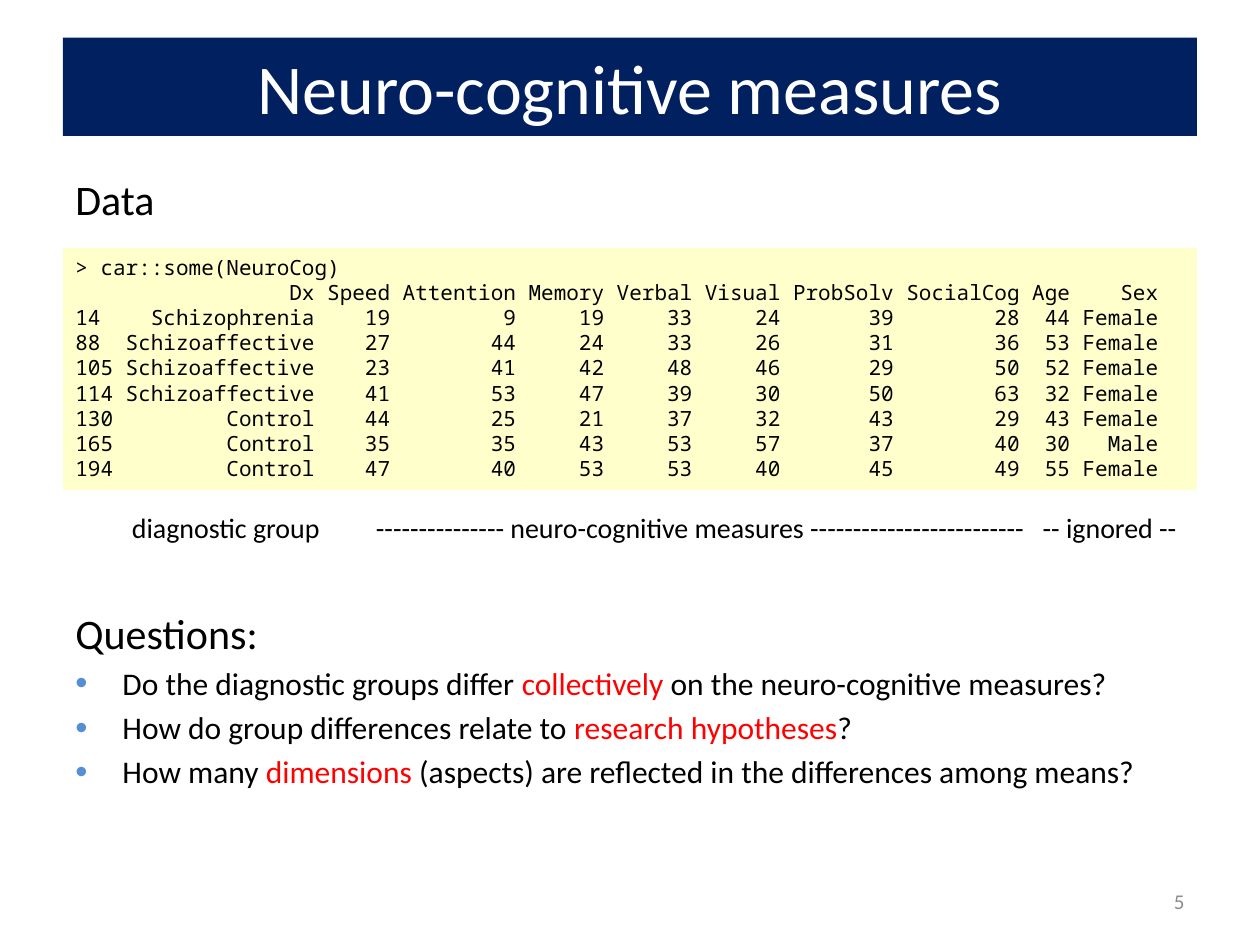
from dataclasses import dataclass
from typing import Optional

import lxml.etree
import pptx
import pptx.dml.color
import pptx.enum.shapes
import pptx.enum.text
import pptx.oxml.ns
import pptx.util

Cm = pptx.util.Cm
Pt = pptx.util.Pt
Align = pptx.enum.text.PP_ALIGN
Anchor = pptx.enum.text.MSO_ANCHOR

COLORS = {
    "navy": "002060",
    "white": "FFFFFF",
    "black": "000000",
    "red": "FF0000",
    "yellow": "FFFF00",
    "bullet": "558ED5",
    "gray": "8C8C8C",
}

LISTING = """> car::some(NeuroCog)
                 Dx Speed Attention Memory Verbal Visual ProbSolv SocialCog Age    Sex
14    Schizophrenia    19         9     19     33     24       39        28  44 Female
88  Schizoaffective    27        44     24     33     26       31        36  53 Female
105 Schizoaffective    23        41     42     48     46       29        50  52 Female
114 Schizoaffective    41        53     47     39     30       50        63  32 Female
130         Control    44        25     21     37     32       43        29  43 Female
165         Control    35        35     43     53     57       37        40  30   Male
194         Control    47        40     53     53     40       45        49  55 Female"""


@dataclass
class Box:
    left: float
    top: float
    width: float
    height: float
    text: str
    size: int
    color: str = "black"
    font: str = "Calibri"
    align: Align = Align.LEFT
    anchor: Anchor = Anchor.TOP
    fill: Optional[str] = None
    opacity: int = 100
    inset: float = 0.25


@dataclass
class Question:
    before: str
    key: str
    after: str


TITLE = Box(1.27, 0.76, 22.86, 1.98, "Neuro-cognitive measures", 40, "white",
            align=Align.CENTER, anchor=Anchor.MIDDLE, fill="navy")
QUESTIONS_BOX = Box(1.27, 12.12, 22.86, 5.46, "Questions:", 24)
PAGE_NUMBER = Box(18.21, 17.65, 5.92, 1.02, "5", 12, "gray",
                  align=Align.RIGHT, anchor=Anchor.MIDDLE)
DATA_LISTING = Box(1.27, 5, 22.86, 4.88, LISTING, 12, font="Noto Sans Mono",
                   fill="yellow", opacity=20)
DATA_HEADING = Box(1.27, 3.38, 3.38, 1.27, "Data", 24)
COLUMN_LABELS = Box(
    1.9, 10.16, 22.23, 0.94,
    "diagnostic group\t--------------- neuro-cognitive measures "
    "-------------------------\t-- ignored --",
    16, inset=0.76)
LABEL_TABS = (4.92, 18.36)

QUESTIONS = (
    Question("Do the diagnostic groups differ ", "collectively",
             " on the neuro-cognitive measures?"),
    Question("How do group differences relate to ", "research hypotheses", "?"),
    Question("How many ", "dimensions",
             " (aspects) are reflected in the differences among means?"),
)


def rgb(name: str) -> pptx.dml.color.RGBColor:
    return pptx.dml.color.RGBColor.from_string(COLORS[name])


def add_element(parent, tag: str, **attributes: str):
    child = lxml.etree.SubElement(parent, pptx.oxml.ns.qn(tag))
    for name, value in attributes.items():
        child.set(name, value)
    return child


def format_run(r, size: int, color: str, font: str = "Calibri") -> None:
    r.font.size = Pt(size)
    r.font.name = font
    r.font.color.rgb = rgb(color)


def draw_box(s, box: Box):
    frame = [Cm(v) for v in (box.left, box.top, box.width, box.height)]
    if box.fill:
        sp = s.shapes.add_shape(pptx.enum.shapes.MSO_SHAPE.RECTANGLE, *frame)
        sp.shadow.inherit = False
        sp.line.fill.background()
        sp.fill.solid()
        sp.fill.fore_color.rgb = rgb(box.fill)
        if box.opacity < 100:
            color = sp._element.spPr.find(".//" + pptx.oxml.ns.qn("a:srgbClr"))
            add_element(color, "a:alpha", val=str(box.opacity * 1000))
    else:
        sp = s.shapes.add_textbox(*frame)
    tf = sp.text_frame
    tf.word_wrap = True
    tf.margin_left = Cm(box.inset)
    tf.vertical_anchor = box.anchor
    tf.text = box.text
    for p in tf.paragraphs:
        p.alignment = box.align
        for r in p.runs:
            format_run(r, box.size, box.color, box.font)
    return tf


def add_question(tf, question: Question) -> None:
    p = tf.add_paragraph()
    p.space_before = Pt(3.6)
    properties = p._p.get_or_add_pPr()
    properties.set("marL", str(Cm(0.95)))
    properties.set("indent", str(-Cm(0.95)))
    bullet_color = add_element(properties, "a:buClr")
    add_element(bullet_color, "a:srgbClr", val=COLORS["bullet"])
    add_element(properties, "a:buSzPct", val="110000")
    add_element(properties, "a:buFont", typeface="Arial")
    add_element(properties, "a:buChar", char="•")
    for text, color in ((question.before, "black"), (question.key, "red"),
                        (question.after, "black")):
        r = p.add_run()
        r.text = text
        format_run(r, 18, color)


def add_tabs(p, positions: tuple[float, ...]) -> None:
    tabs = add_element(p._p.get_or_add_pPr(), "a:tabLst")
    for position in positions:
        add_element(tabs, "a:tab", pos=str(Cm(position)), algn="l")


def main() -> None:
    prs = pptx.Presentation()
    prs.slide_width, prs.slide_height = Cm(25.4), Cm(19.05)
    s = prs.slides.add_slide(prs.slide_layouts[6])
    draw_box(s, TITLE)
    questions = draw_box(s, QUESTIONS_BOX)
    for question in QUESTIONS:
        add_question(questions, question)
    for box in (PAGE_NUMBER, DATA_LISTING, DATA_HEADING):
        draw_box(s, box)
    labels = draw_box(s, COLUMN_LABELS)
    labels.margin_right = 0
    add_tabs(labels.paragraphs[0], LABEL_TABS)
    prs.save("out.pptx")


if __name__ == "__main__":
    main()
